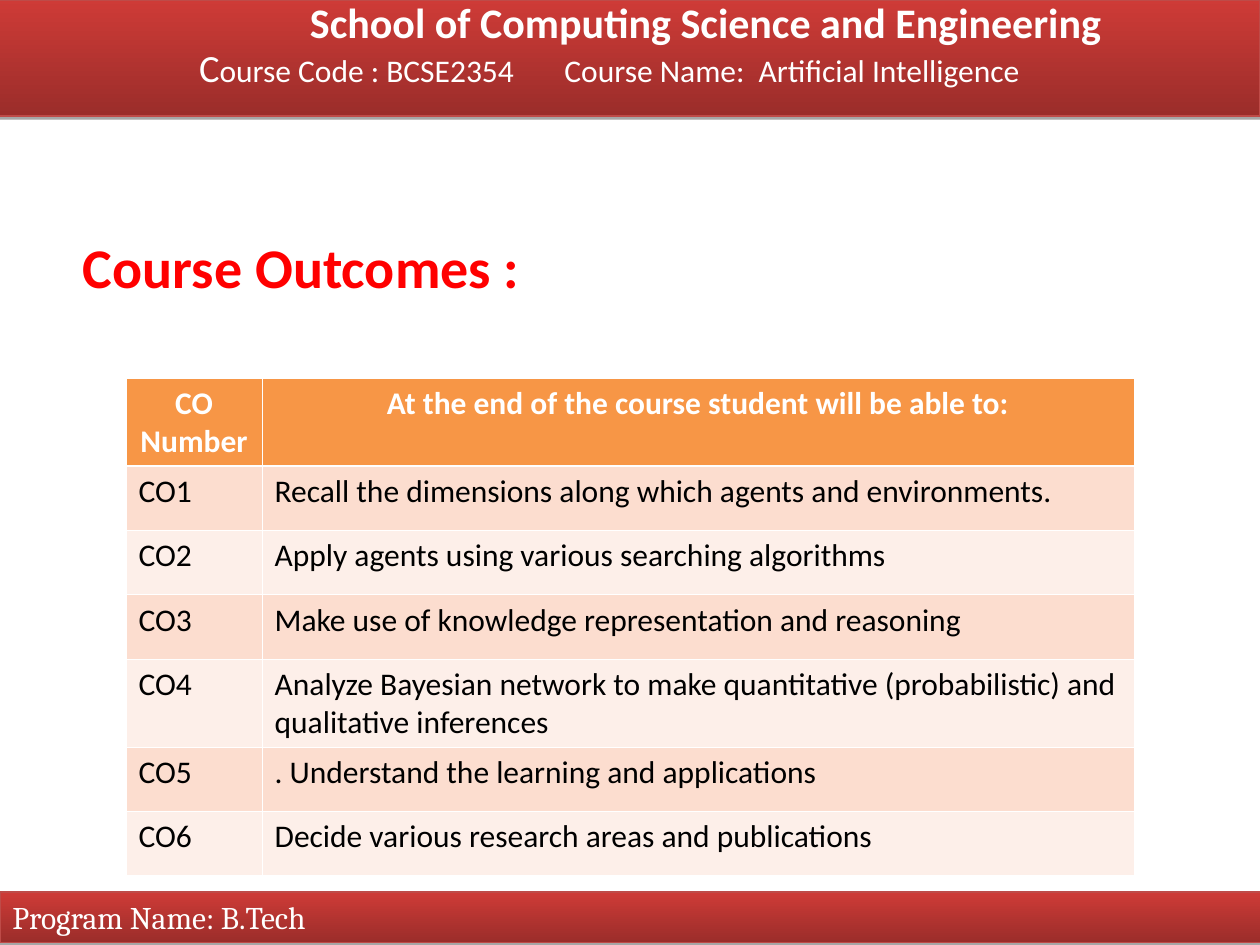
import dataclasses

import pptx
import pptx.dml.color
import pptx.enum.shapes
import pptx.enum.text
import pptx.oxml
import pptx.oxml.ns
import pptx.util

Inches, Pt = pptx.util.Inches, pptx.util.Pt
ALIGN = pptx.enum.text.PP_ALIGN
ANCHOR = pptx.enum.text.MSO_ANCHOR
NS = pptx.oxml.ns.nsdecls("a")

COLORS = {
    "band_dark": "9B2D2A", "band_light": "CE3B37", "band_line": "BE4B48",
    "white": "FFFFFF", "black": "000000", "heading": "FF0000",
    "table_head": "F79646", "row_odd": "FCDDCF", "row_even": "FDEFE9",
}
COLUMN_WIDTHS = (1.08, 6.92)
TALL_ROW, SHORT_ROW = 0.7, 0.51
TABLE_HEAD = ("CO Number", "At the end of the course student will be able to:")
OUTCOMES = (
    "Recall the dimensions along which agents and environments.",
    "Apply agents using various searching algorithms",
    "Make use of knowledge representation and reasoning",
    "Analyze Bayesian network to make quantitative (probabilistic) "
    "and qualitative inferences",
    ". Understand the learning and applications",
    "Decide various research areas and publications",
)
TWO_LINE_ROWS = (0, 4)


@dataclasses.dataclass(frozen=True)
class Run:
    text: str
    size: float = 18
    color: str = "white"
    bold: bool = False
    font: str = "Calibri"


@dataclasses.dataclass(frozen=True)
class Band:
    left: float
    top: float
    width: float
    height: float


HEADER = Band(-0.02, 0, 10.02, 0.92)
FOOTER = Band(0, 7.08, 10.03, 0.4)


def rgb(name: str) -> pptx.dml.color.RGBColor:
    return pptx.dml.color.RGBColor.from_string(COLORS[name])


def add_runs(p, *runs: Run) -> None:
    for run in runs:
        r = p.add_run()
        r.text = run.text
        r.font.size = Pt(run.size)
        r.font.bold = run.bold
        r.font.name = run.font
        r.font.color.rgb = rgb(run.color)


def indent_line(p, first: float, tab: float | None = None) -> None:
    """Indent the line and set its tab stop, both in inches."""
    pPr = p._p.get_or_add_pPr()
    pPr.set("marL", "0")
    pPr.set("indent", str(Inches(first)))
    if tab is not None:
        pPr.append(pptx.oxml.parse_xml(
            f'<a:tabLst {NS}><a:tab pos="{Inches(tab)}" algn="l"/></a:tabLst>'))


def add_band(slide, band: Band):
    s = slide.shapes.add_shape(
        pptx.enum.shapes.MSO_SHAPE.RECTANGLE,
        Inches(band.left), Inches(band.top), Inches(band.width), Inches(band.height))
    s.fill.gradient()
    s.fill.gradient_angle = 90
    for stop, name in zip(s.fill.gradient_stops, ("band_dark", "band_light")):
        stop.color.rgb = rgb(name)
    s.line.color.rgb = rgb("band_line")
    s.line.width = Pt(0.75)
    s.shadow.inherit = False
    effects = s._element.spPr.find(pptx.oxml.ns.qn("a:effectLst"))
    effects.append(pptx.oxml.parse_xml(
        f'<a:outerShdw {NS} blurRad="0" dist="{Pt(1.8)}" dir="5400000" rotWithShape="0">'
        f'<a:srgbClr val="{COLORS["black"]}"><a:alpha val="35000"/></a:srgbClr>'
        '</a:outerShdw>'))
    tf = s.text_frame
    tf.word_wrap = True
    tf.vertical_anchor = ANCHOR.TOP
    tf.paragraphs[0].alignment = ALIGN.LEFT
    return tf


def add_header(slide) -> None:
    tf = add_band(slide, HEADER)
    tf.margin_left = tf.margin_right = tf.margin_top = tf.margin_bottom = 0
    school = tf.paragraphs[0]
    course = tf.add_paragraph()
    for p in (school, course):
        p.alignment = ALIGN.LEFT
        p.line_spacing = 0.95
    indent_line(school, 2.48)
    add_runs(school, Run("School of Computing Science and Engineering", 24, bold=True))
    indent_line(course, 1.6, tab=4.63)
    add_runs(course, Run("C", 22),
             Run("ourse Code : BCSE2354\tCourse Name:  Artificial Intelligence"))


def add_heading(slide) -> None:
    s = slide.shapes.add_textbox(Inches(0.56), Inches(1.8), Inches(8.94), Inches(0.7))
    s.text_frame.word_wrap = True
    add_runs(s.text_frame.paragraphs[0],
             Run("Course Outcomes :", 32, "heading", bold=True))


def set_borders(cell, **widths: float) -> None:
    """Draw white borders; keys are L, R, T and B, widths are points."""
    tcPr = cell._tc.get_or_add_tcPr()
    for place, (side, width) in enumerate(widths.items()):
        tcPr.insert(place, pptx.oxml.parse_xml(
            f'<a:ln{side} {NS} w="{Pt(width)}"><a:solidFill>'
            f'<a:srgbClr val="{COLORS["white"]}"/></a:solidFill></a:ln{side}>'))


def add_outcome_table(slide) -> None:
    rows = [TABLE_HEAD] + [(f"CO{n}", text) for n, text in enumerate(OUTCOMES, 1)]
    heights = [TALL_ROW if i in TWO_LINE_ROWS else SHORT_ROW for i in range(len(rows))]
    table = slide.shapes.add_table(
        len(rows), len(COLUMN_WIDTHS), Inches(1), Inches(3),
        Inches(sum(COLUMN_WIDTHS)), Inches(sum(heights))).table
    for column, width in zip(table.columns, COLUMN_WIDTHS):
        column.width = Inches(width)
    for i, (texts, height) in enumerate(zip(rows, heights)):
        table.rows[i].height = Inches(height)
        head = i == 0
        fill = "table_head" if head else "row_odd" if i % 2 else "row_even"
        for j, text in enumerate(texts):
            cell = table.cell(i, j)
            cell.fill.solid()
            cell.fill.fore_color.rgb = rgb(fill)
            set_borders(cell, L=0.45, R=0.45,
                        T=1.47 if i == 1 else 0.45, B=1.47 if head else 0.45)
            p = cell.text_frame.paragraphs[0]
            p.alignment = ALIGN.CENTER if head else ALIGN.LEFT
            add_runs(p, Run(text, color="white" if head else "black", bold=head))


def main() -> None:
    prs = pptx.Presentation()
    prs.slide_width, prs.slide_height = Inches(10), Inches(7.5)
    slide = prs.slides.add_slide(prs.slide_layouts[6])
    add_header(slide)
    footer = add_band(slide, FOOTER)
    add_runs(footer.paragraphs[0], Run("Program Name: B.Tech", font="Cambria"))
    add_heading(slide)
    add_outcome_table(slide)
    prs.save("out.pptx")


if __name__ == "__main__":
    main()
